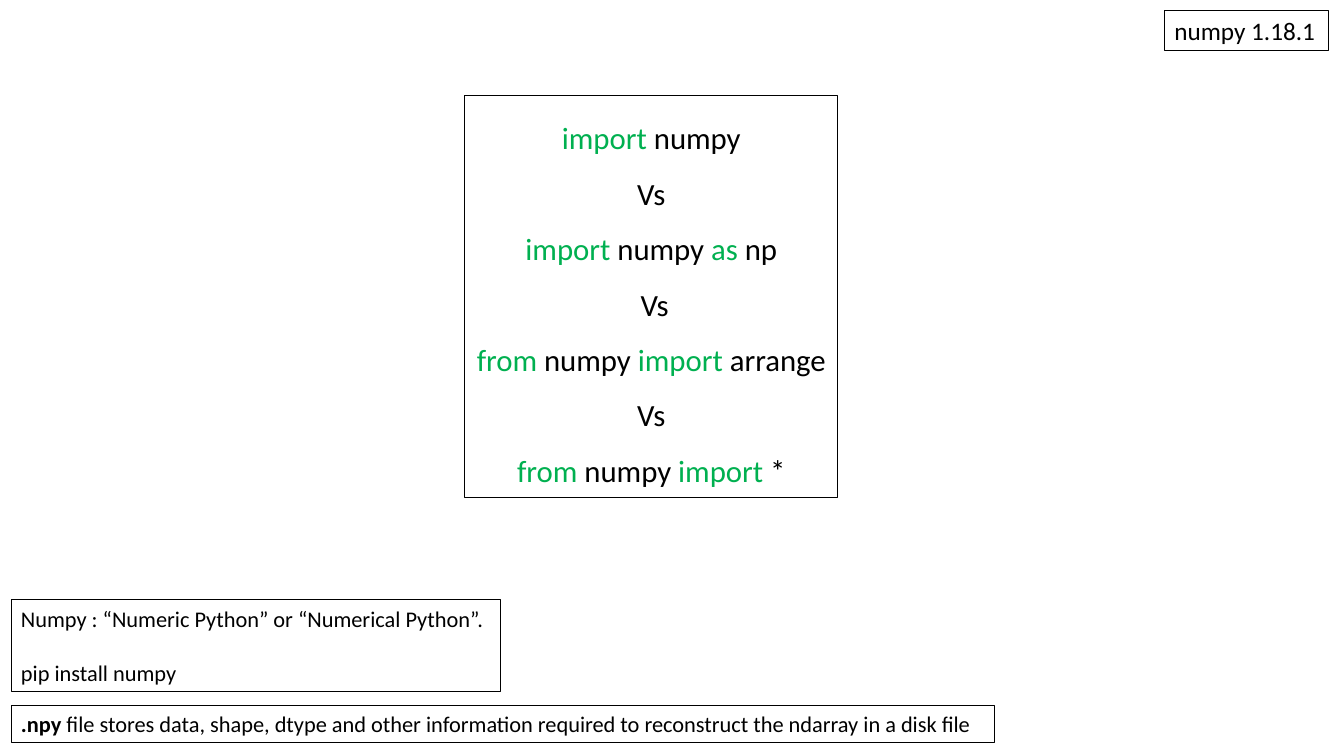
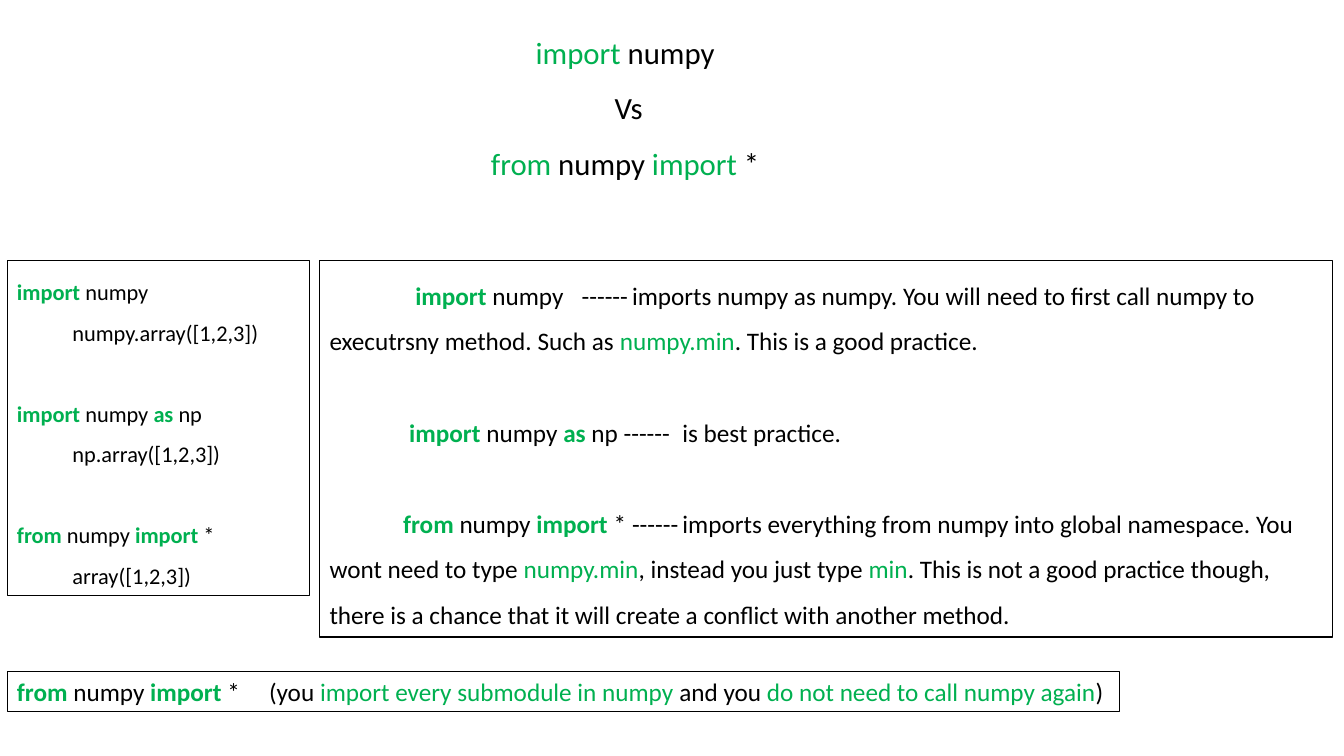
from pptx import Presentation
from pptx.dml.color import RGBColor
from pptx.enum.shapes import MSO_SHAPE
from pptx.enum.text import MSO_ANCHOR, MSO_AUTO_SIZE, PP_ALIGN
from pptx.oxml.ns import qn
from pptx.util import Inches, Pt
from lxml.etree import SubElement

COLORS = {"text": "000000", "keyword": "00B050", "paper": "FFFFFF"}
RUN_STYLES = {
    "^": ("keyword", False),
    "!": ("keyword", True),
    "#": ("text", True),
}
HEADING = {"size": 22, "line": 1.5, "align": PP_ALIGN.CENTER, "wrap": False}


def apply(target, values):
    for name, value in values.items():
        setattr(target, name, value)


def color(name):
    return RGBColor.from_string(COLORS[name])


class Deck:
    font = "Calibri"

    def __init__(self):
        self.presentation = Presentation()
        apply(self.presentation, {"slide_width": Inches(13.33), "slide_height": Inches(7.5)})
        self.slide = None

    def add_slide(self, layout):
        self.slide = self.presentation.slides.add_slide(self.presentation.slide_layouts[layout])

    def title(self, position, lines):
        heading = self.slide.shapes.title
        sides = ("left", "top", "width", "height")
        apply(heading, dict(zip(sides, map(Inches, position))))
        self.fill_text(heading, lines, **HEADING)

    def box(self, position, lines, fill=None, **style):
        panel = self.slide.shapes.add_shape(MSO_SHAPE.RECTANGLE, *map(Inches, position))
        panel.shadow.inherit = False
        if fill:
            panel.fill.solid()
            panel.fill.fore_color.rgb = color(fill)
        else:
            panel.fill.background()
        panel.line.color.rgb = color("text")
        panel.line.width = Pt(0.75)
        self.fill_text(panel, lines, **style)

    def fill_text(self, shape, lines, size, line=1.0, align=PP_ALIGN.LEFT, wrap=True):
        frame = shape.text_frame
        apply(frame, {
            "word_wrap": wrap,
            "auto_size": MSO_AUTO_SIZE.SHAPE_TO_FIT_TEXT,
            "vertical_anchor": MSO_ANCHOR.TOP,
            "margin_left": Inches(0.1), "margin_right": Inches(0.1),
            "margin_top": Inches(0.05), "margin_bottom": Inches(0.05),
        })
        for index, entry in enumerate(lines):
            text, layout = entry if isinstance(entry, tuple) else (entry, {})
            paragraph = frame.add_paragraph() if index else frame.paragraphs[0]
            gap = Pt(size * 1.22 * line) if layout.get("gap") else Pt(0)
            apply(paragraph, {"alignment": align, "line_spacing": line,
                              "space_before": gap, "space_after": Pt(0)})
            self.indent(paragraph, **layout)
            for part in text.split("|"):
                tint, bold = RUN_STYLES.get(part[0], ("text", False))
                run = paragraph.add_run()
                run.text = part[1:] if part[0] in RUN_STYLES else part
                apply(run.font, {"name": self.font, "size": Pt(size), "bold": bold})
                run.font.color.rgb = color(tint)

    def indent(self, paragraph, first=0, tabs=(), gap=False):
        properties = paragraph._p.get_or_add_pPr()
        properties.set("marL", "0")
        properties.set("indent", str(Inches(first)))
        if tabs:
            stops = SubElement(properties, qn("a:tabLst"))
            for stop in tabs:
                SubElement(stops, qn("a:tab"), pos=str(Inches(stop)), algn="l")


deck = Deck()

deck.add_slide(6)
deck.box((0.11, 5.95, 4.85, 0.91), [
    "Numpy : “Numeric Python” or “Numerical Python”.",
    ("pip install numpy", {"gap": True}),
], fill="paper", size=16)
deck.box((11.55, 0.1, 1.63, 0.4), ["numpy 1.18.1"], size=18, wrap=False)
deck.box((0.11, 7, 9.75, 0.37), [
    "#.npy|\u00a0file stores data, shape, dtype and other information "
    "required to reconstruct the ndarray in a disk file",
], size=16, wrap=False)
deck.box((4.61, 0.95, 3.7, 3.99), [
    "^import |numpy",
    "Vs",
    "^import |numpy |^as| np",
    " Vs",
    "^from| numpy |^import |arrange",
    "Vs",
    "^from| numpy |^import |*",
], **HEADING)

deck.add_slide(5)
deck.title((4.75, 0.1, 2.9, 1.77), [
    "^import| numpy",
    " Vs",
    "^from| numpy |^import| *",
])
call = {"first": 0.55}
next_import = {"gap": True}
deck.box((0.07, 2.58, 3, 3.33), [
    "!import| numpy",
    ("numpy.array([1,2,3])", call),
    ("!import| numpy |!as| np", next_import),
    ("np.array([1,2,3])", call),
    ("!from| numpy |!import| *", next_import),
    ("array([1,2,3])", call),
], size=16, line=1.5)
deck.box((3.17, 2.58, 10.05, 3.74), [
    ("!import| numpy\t------\timports numpy as numpy. You will need to first call numpy to "
     "executrsny method. Such as |^numpy.min|. This is a good practice.",
     {"first": 0.85, "tabs": (2.49, 3.06)}),
    ("!import| numpy |!as| np ------\tis best practice.",
     {"first": 0.79, "tabs": (3.49,), "gap": True}),
    ("!from |numpy |!import| *\t------\timports everything from numpy into global namespace. "
     "You wont need to type |^numpy.min|, instead you just type |^min|. This is not a good "
     "practice though, there is a chance that it will create a conflict with another method.",
     {"first": 0.73, "tabs": (3.28, 4.03), "gap": True}),
], size=18, line=1.5)
deck.box((0.07, 6.66, 11.03, 0.4), [
    ("!from| numpy |!import| *\t(you |^import every submodule in numpy |and you "
     "|^do not need to call numpy again|)", {"tabs": (2.44,)}),
], size=18)

deck.presentation.save("out.pptx")
